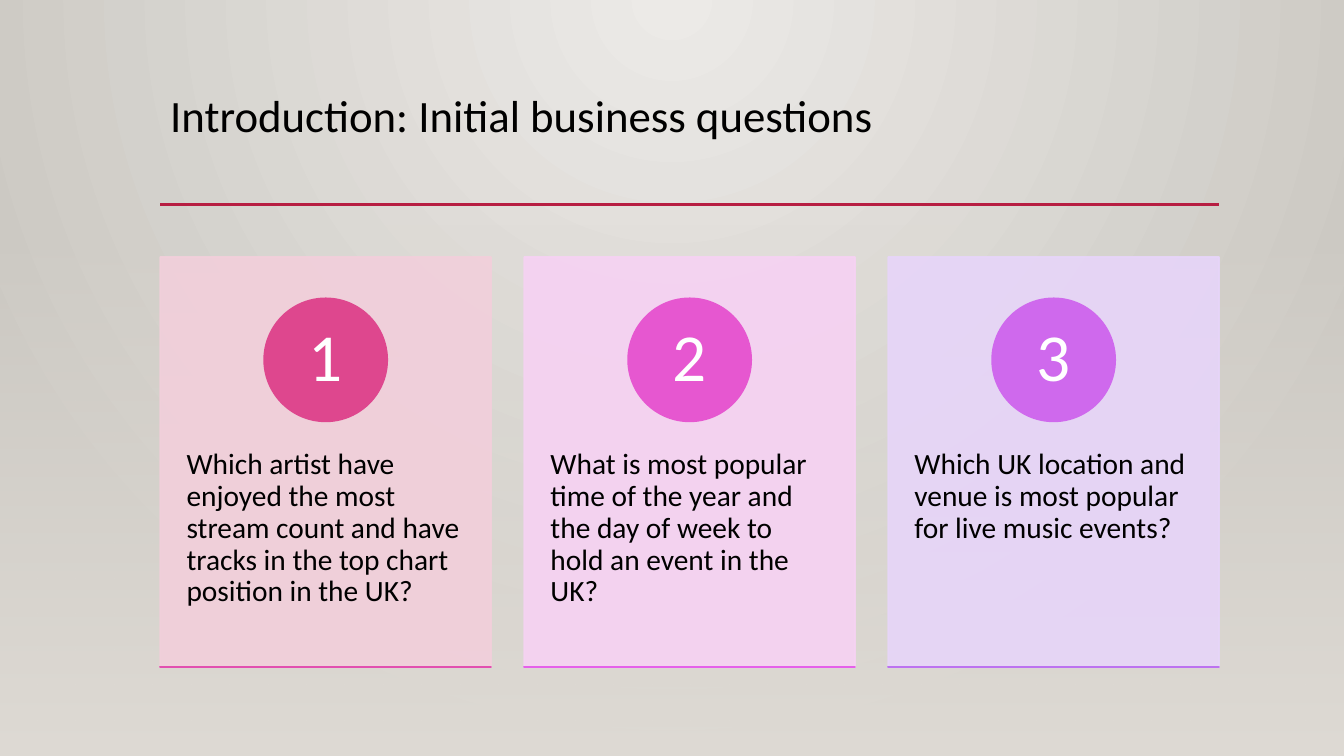
from dataclasses import dataclass

import pptx
import pptx.dml.color
import pptx.enum.shapes
import pptx.enum.text
import pptx.oxml
import pptx.oxml.ns
import pptx.util
from pptx.util import Inches

SHAPE = pptx.enum.shapes.MSO_SHAPE
ANCHOR = pptx.enum.text.MSO_ANCHOR
ALIGN = pptx.enum.text.PP_ALIGN

COLOURS = {
    "glow": "ECEAE7",
    "edge": "CAC7C1",
    "floor": "DFDBD5",
    "rule": "B71E42",
    "text": "000000",
    "number": "FFFFFF",
}
SLIDE_WIDTH, SLIDE_HEIGHT = 13.33, 7.5
LEFT = 1.59
CARD_TOP, CARD_WIDTH, CARD_HEIGHT, CARD_STEP = 2.55, 3.28, 4.07, 3.61
BADGE_SIZE, NUMBER_SIZE = 1.22, 0.86

RADIAL = '<a:path path="circle"><a:fillToRect l="43000" r="43000" b="100000"/></a:path>'
DOWNWARD = '<a:lin ang="5400000" scaled="0"/>'


@dataclass
class Card:
    question: str
    panel: str
    badge: str
    base: str


@dataclass
class TextStyle:
    size: float
    colour: str
    frame: dict
    align: ALIGN = ALIGN.LEFT


CARDS = [
    Card("Which artist have enjoyed the most stream count and have tracks "
         "in the top chart position in the UK?", "F2CFDB", "DE478E", "E24FB0"),
    Card("What is most popular time of the year and the day of week to hold "
         "an event in the UK?", "F6D2F3", "E657D0", "E560EA"),
    Card("Which UK location and venue is most popular for live music events?",
         "E7D5F9", "CF69ED", "BC72F0"),
]


def frame_format(side: float, top: float, anchor: ANCHOR = ANCHOR.TOP) -> dict:
    return {
        "word_wrap": True,
        "vertical_anchor": anchor,
        "margin_left": Inches(side),
        "margin_right": Inches(side),
        "margin_top": Inches(top),
        "margin_bottom": Inches(top),
    }


TITLE = TextStyle(32, COLOURS["text"], frame_format(0.1, 0.05))
QUESTION = TextStyle(21, COLOURS["text"], frame_format(0.26, 0.36))
NUMBER = TextStyle(48, COLOURS["number"], frame_format(0.1, 0.01, ANCHOR.MIDDLE), ALIGN.CENTER)


def rgb(colour: str) -> pptx.dml.color.RGBColor:
    return pptx.dml.color.RGBColor.from_string(colour)


def set_gradient(owner, fill, start: str, end: str, direction: str, start_alpha: int = 100) -> None:
    """Give the fill, found inside the owner's XML, a two-colour gradient."""
    fill.gradient()
    old = next(owner.element.iter(pptx.oxml.ns.qn("a:gradFill")))
    new = pptx.oxml.parse_xml(
        f'<a:gradFill {pptx.oxml.ns.nsdecls("a")} rotWithShape="1"><a:gsLst>'
        f'<a:gs pos="0"><a:srgbClr val="{start}"><a:alpha val="{start_alpha * 1000}"/></a:srgbClr></a:gs>'
        f'<a:gs pos="100000"><a:srgbClr val="{end}"/></a:gs></a:gsLst>{direction}</a:gradFill>')
    old.getparent().replace(old, new)


def add_shape(slide, kind: SHAPE, left: float, top: float, width: float, height: float):
    shape = slide.shapes.add_shape(kind, Inches(left), Inches(top), Inches(width), Inches(height))
    shape.shadow.inherit = False
    shape.line.fill.background()
    return shape


def add_solid(slide, kind: SHAPE, left: float, top: float, width: float, height: float,
              colour: str, opacity: int = 100) -> None:
    shape = add_shape(slide, kind, left, top, width, height)
    shape.line.width = pptx.util.Pt(1.25)
    shape.line.fill.solid()
    shape.fill.solid()
    for fill in (shape.fill, shape.line.fill):
        fill.fore_color.rgb = rgb(colour)
    if opacity < 100:
        for node in shape.element.spPr.iter(pptx.oxml.ns.qn("a:srgbClr")):
            alpha = pptx.oxml.parse_xml(
                f'<a:alpha {pptx.oxml.ns.nsdecls("a")} val="{opacity * 1000}"/>')
            node.append(alpha)


def add_text(slide, text: str, left: float, top: float, width: float, height: float,
             style: TextStyle) -> None:
    box = slide.shapes.add_textbox(Inches(left), Inches(top), Inches(width), Inches(height))
    for name, value in style.frame.items():
        setattr(box.text_frame, name, value)
    paragraph = box.text_frame.paragraphs[0]
    paragraph.alignment = style.align
    paragraph.line_spacing = 0.9
    run = paragraph.add_run()
    run.text = text
    for name, value in {"name": "Calibri", "size": pptx.util.Pt(style.size)}.items():
        setattr(run.font, name, value)
    run.font.color.rgb = rgb(style.colour)


def add_rule(slide, left: float, right: float, top: float) -> None:
    line = slide.shapes.add_connector(
        pptx.enum.shapes.MSO_CONNECTOR.STRAIGHT, Inches(left), Inches(top), Inches(right), Inches(top))
    line.line.width = pptx.util.Pt(2.5)
    line.line.color.rgb = rgb(COLOURS["rule"])
    line.element.spPr.append(
        pptx.oxml.parse_xml(f'<a:effectLst {pptx.oxml.ns.nsdecls("a")}/>'))


def add_card(slide, number: int, card: Card) -> None:
    left = LEFT + (number - 1) * CARD_STEP
    badge_left = left + (CARD_WIDTH - BADGE_SIZE) / 2
    badge_top = 2.96
    inset = (BADGE_SIZE - NUMBER_SIZE) / 2
    add_solid(slide, SHAPE.RECTANGLE, left, CARD_TOP, CARD_WIDTH, CARD_HEIGHT, card.panel, 90)
    add_text(slide, card.question, left, 4.1, CARD_WIDTH, 2.44, QUESTION)
    add_solid(slide, SHAPE.OVAL, badge_left, badge_top, BADGE_SIZE, BADGE_SIZE, card.badge)
    add_text(slide, str(number), badge_left + inset, badge_top + inset, NUMBER_SIZE, NUMBER_SIZE, NUMBER)
    add_solid(slide, SHAPE.RECTANGLE, left, CARD_TOP + CARD_HEIGHT, CARD_WIDTH, 0, card.base)


def main() -> None:
    presentation = pptx.Presentation()
    presentation.slide_width = Inches(SLIDE_WIDTH)
    presentation.slide_height = Inches(SLIDE_HEIGHT)
    slide = presentation.slides.add_slide(presentation.slide_layouts[6])

    # Backdrop
    set_gradient(slide, slide.background.fill, COLOURS["glow"], COLOURS["edge"], RADIAL)
    wall = add_shape(slide, SHAPE.RECTANGLE, 0, 0, SLIDE_WIDTH, SLIDE_HEIGHT)
    set_gradient(wall, wall.fill, COLOURS["glow"], COLOURS["edge"], RADIAL)

    # Title and rule
    add_text(slide, "Introduction: Initial business questions", LEFT, 0.88, 10.5, 1.15, TITLE)
    add_rule(slide, LEFT, 12.09, 2.03)

    # Floor fading in below the rule
    floor = add_shape(slide, SHAPE.RECTANGLE, 0, 2.21, SLIDE_WIDTH, 5.29)
    set_gradient(floor, floor.fill, COLOURS["floor"], COLOURS["floor"], DOWNWARD, 0)

    # Question cards
    for number, card in enumerate(CARDS, start=1):
        add_card(slide, number, card)

    presentation.save("out.pptx")


if __name__ == "__main__":
    main()
